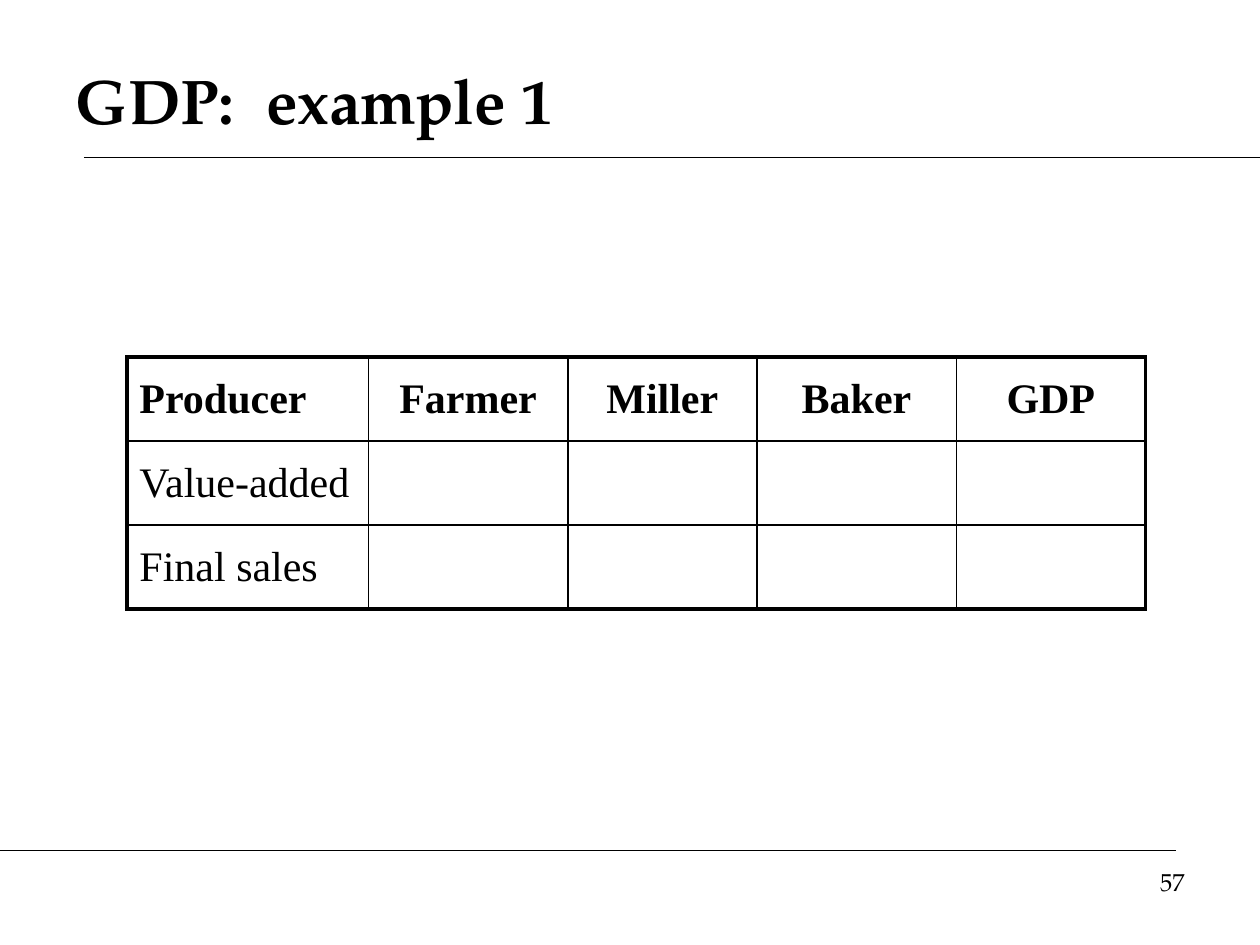
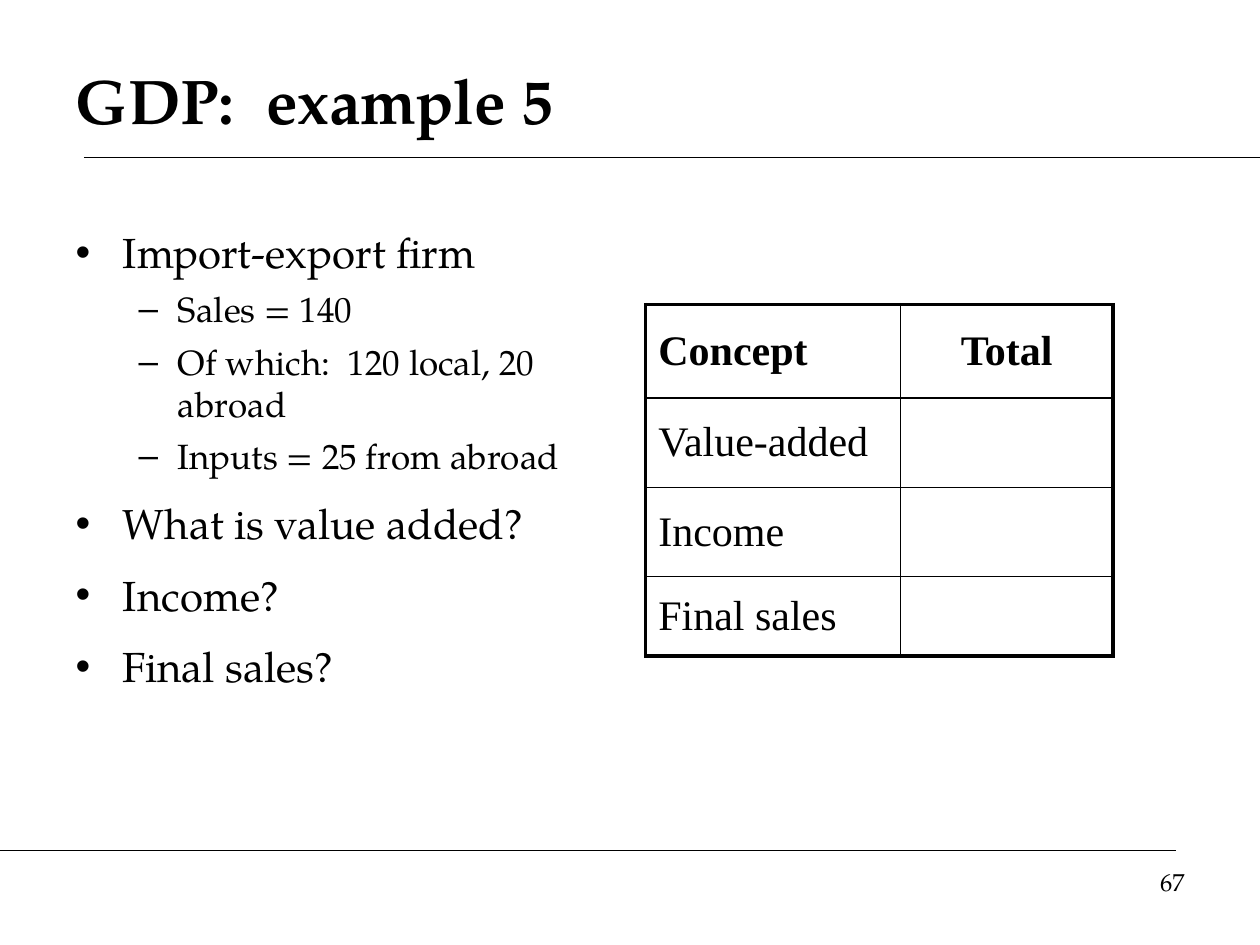
from dataclasses import dataclass
from typing import Any

from lxml.etree import SubElement
from pptx import Presentation
from pptx.dml.color import RGBColor
from pptx.enum.shapes import MSO_CONNECTOR
from pptx.enum.text import MSO_ANCHOR, MSO_AUTO_SIZE, PP_ALIGN
from pptx.oxml.ns import qn
from pptx.util import Pt

# Shared look
HUES = {"ink": "000000", "paper": "FFFFFF"}
SERIF, ROMAN = "TeX Gyre Pagella", "Times New Roman"
TITLE = {"name": SERIF, "size": Pt(36), "bold": True}
PAGE = {"name": SERIF, "size": Pt(14), "bold": False}
HEAD = {"name": ROMAN, "size": Pt(24), "bold": True}
CELL = {**HEAD, "bold": False}
THICK, THIN = 2.25, 1

Box = tuple[float, float, float, float]


@dataclass
class Rule:
    left: float
    right: float
    top: float


@dataclass
class Level:
    size: float
    indent: float
    hang: float
    gap: float
    mark: str


@dataclass
class Grid:
    left: float
    top: float
    widths: list[float]
    heights: list[float]
    heads: list[str]
    labels: list[str]


RULES = [Rule(48, 720, 90), Rule(0, 672, 486)]
LEVELS = [Level(24, 27, 27, 12, "•"), Level(20, 58.5, 22.5, 6, "–")]


def color(name: str) -> RGBColor:
    return RGBColor.from_string(HUES[name])


def apply(item: Any, values: dict[str, Any]) -> None:
    for name, value in values.items():
        setattr(item, name, value)


def write(para: Any, text: str, style: dict[str, Any], align: Any = PP_ALIGN.LEFT) -> None:
    para.alignment = align
    run = para.add_run()
    run.text = text
    apply(run.font, style)
    run.font.color.rgb = color("ink")


def place(shape: Any, box: Box, anchor: Any) -> Any:
    apply(shape, dict(zip(("left", "top", "width", "height"), map(Pt, box))))
    frame = shape.text_frame
    apply(frame, {"word_wrap": True, "auto_size": MSO_AUTO_SIZE.NONE,
                  "vertical_anchor": anchor})
    return frame


# Title, rules and page number
def start(deck: Any, layout: int, title: str, page: int) -> Any:
    slide = deck.slides.add_slide(deck.slide_layouts[layout])
    fill = slide.background.fill
    fill.solid()
    fill.fore_color.rgb = color("paper")
    for rule in RULES:
        line = slide.shapes.add_connector(
            MSO_CONNECTOR.STRAIGHT, Pt(rule.left), Pt(rule.top), Pt(rule.right), Pt(rule.top))
        line.line.width = Pt(0.75)
        line.line.color.rgb = color("ink")
        SubElement(line._element.spPr, qn("a:effectLst"))
    frame = place(slide.shapes.title, (36, 24, 648, 66), MSO_ANCHOR.MIDDLE)
    write(frame.paragraphs[0], title, TITLE)
    box = (516, 492, 168, 37.5)
    frame = place(slide.shapes.add_textbox(*map(Pt, box)), box, MSO_ANCHOR.TOP)
    write(frame.paragraphs[0], str(page), PAGE, PP_ALIGN.RIGHT)
    return slide


# Bullet list
def fill_list(slide: Any, box: Box, items: list[tuple[int, str]]) -> None:
    frame = place(slide.placeholders[1], box, MSO_ANCHOR.TOP)
    for i, (depth, text) in enumerate(items):
        para = frame.add_paragraph() if i else frame.paragraphs[0]
        level = LEVELS[depth]
        props = para._p.get_or_add_pPr()
        props.set("marL", str(Pt(level.indent)))
        props.set("indent", str(-Pt(level.hang)))
        SubElement(props, qn("a:buChar"), char=level.mark)
        apply(para, {"level": depth, "space_before": Pt(level.gap if i else 0)})
        write(para, text, {"name": SERIF, "size": Pt(level.size)})


# Table with a thick frame and thin inner lines
def edge(cell: Any, sides: dict[str, float]) -> None:
    props = cell._tc.get_or_add_tcPr()
    for i, (side, width) in enumerate(sides.items()):
        line = SubElement(props, qn(f"a:ln{side}"), w=str(Pt(width)))
        fill = SubElement(line, qn("a:solidFill"))
        SubElement(fill, qn("a:srgbClr"), val=HUES["ink"])
        props.insert(i, line)


def draw_grid(slide: Any, grid: Grid) -> None:
    rows, cols = len(grid.heights), len(grid.widths)
    table = slide.shapes.add_table(
        rows, cols, Pt(grid.left), Pt(grid.top),
        Pt(sum(grid.widths)), Pt(sum(grid.heights))).table
    apply(table, {"first_row": False, "horz_banding": False})
    for col, width in zip(table.columns, grid.widths):
        col.width = Pt(width)
    for row, height in zip(table.rows, grid.heights):
        row.height = Pt(height)
    for r in range(rows):
        for c in range(cols):
            cell = table.cell(r, c)
            cell.vertical_anchor = MSO_ANCHOR.MIDDLE
            cell.fill.background()
            outer = {"L": c == 0, "R": c == cols - 1, "T": r == 0, "B": r == rows - 1}
            edge(cell, {side: THICK if out else THIN for side, out in outer.items()})
            para = cell.text_frame.paragraphs[0]
            if r == 0:
                write(para, grid.heads[c], HEAD, PP_ALIGN.CENTER if c else PP_ALIGN.LEFT)
            elif c == 0:
                write(para, grid.labels[r - 1], CELL)


def main() -> None:
    deck = Presentation()
    apply(deck, {"slide_width": Pt(720), "slide_height": Pt(540)})

    # Example 1
    slide = start(deck, 5, "GDP:  example 1", 57)
    draw_grid(slide, Grid(
        72.5, 204, [138, 114, 108, 114, 108], [48] * 3,
        ["Producer", "Farmer", "Miller", "Baker", "GDP"],
        ["Value-added", "Final sales"]))

    # Example 5
    slide = start(deck, 1, "GDP:  example 5", 67)
    fill_list(slide, (36, 126, 294, 356), [
        (0, "Import-export firm"),
        (1, "Sales = 140"),
        (1, "Of which:  120 local, 20 abroad"),
        (1, "Inputs = 25 from abroad"),
        (0, "What is value added?"),
        (0, "Income?"),
        (0, "Final sales?"),
    ])
    draw_grid(slide, Grid(
        369, 174, [145.5, 121.5], [53.5, 51, 51, 45.5],
        ["Concept", "Total"], ["Value-added", "Income", "Final sales"]))

    deck.save("out.pptx")


if __name__ == "__main__":
    main()
